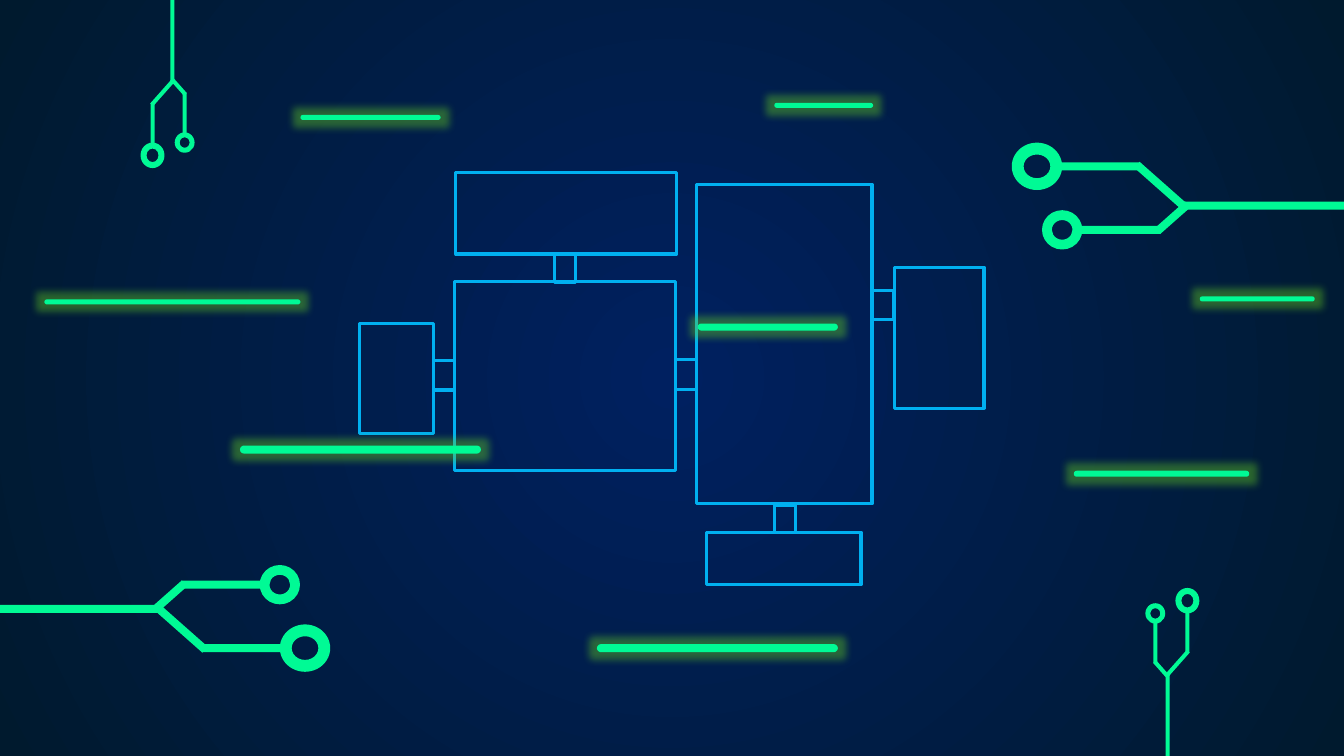
import math

from lxml import etree
from pptx import Presentation, util as u
from pptx.dml.color import RGBColor
from pptx.enum import shapes
from pptx.oxml.ns import qn

# The slide is a grid of square cells
CELL = u.Inches(0.1)
COLS, ROWS = 133.3, 75

CENTRE_BLUE = RGBColor(0x00, 0x20, 0x60)
EDGE_BLUE = RGBColor(0x00, 0x1A, 0x2E)
NEON = RGBColor(0x00, 0xFA, 0x95)
GLOW = RGBColor(0x69, 0xD3, 0x21)
OUTLINE = RGBColor(0x00, 0xB0, 0xF0)

RECT = shapes.MSO_SHAPE.RECTANGLE
DONUT = shapes.MSO_SHAPE.DONUT
BAR = shapes.MSO_SHAPE.ROUNDED_RECTANGLE

# Circuit parts: shape, distance along trunk, offset to its right,
# width, height, turn
CIRCUIT = [
    (RECT, 8, 0, 0.8, 16, 0),
    (RECT, 18.1, 1.9, 0.8, 6.5, 41.5),
    (RECT, 24.5, 3.9, 0.8, 8.6, 0),
    (RECT, 17, -1.2, 0.8, 4, -41.5),
    (RECT, 22.5, -2.4, 0.8, 8.6, 0),
    (DONUT, 30.45, 3.9, 4.7, 5, 0),
    (DONUT, 27.95, -2.4, 3.9, 4, 0),
]
# Trunk foot (column, row), scale, turn
CIRCUITS = [
    (115.8, ROWS, 0.506, 0),
    (17.1, 0, 0.506, 180),
    (COLS, 20.4, 1, 270),
    (-0.2, 60.4, 1, 90),
]

DIAGRAM = (35.7, 17.1)
# Column, row, columns, rows inside the diagram
BLOCKS = [
    (0, 15, 7.3, 10.9),
    (9.4, 10.8, 21.9, 18.8),
    (9.5, 0, 21.9, 8.1),
    (33.4, 1.2, 17.4, 31.7),
    (53, 9.4, 8.9, 14),
    (34.4, 35.7, 15.3, 5.2),
]
LINKS = [
    (7.3, 18.7, 2.1, 2.9),
    (19.3, 8.1, 2.1, 2.8),
    (31.3, 18.6, 2.1, 2.9),
    (50.8, 11.7, 2.1, 2.9),
    (41.1, 33, 2.1, 2.7),
]
BARS = [
    (4.4, 29.7, 25.4, 0.5),
    (59.2, 63.9, 23.9, 0.8),
    (106.5, 46.7, 17.4, 0.6),
    (76.8, 10.2, 9.8, 0.5),
    (119, 29.4, 11.4, 0.5),
    (29.8, 11.4, 13.9, 0.5),
    (23.8, 44.2, 23.9, 0.8),
    (69.2, 32.1, 13.9, 0.7),
]


def add_shape(parent, kind, box, fill=None, line=None, turn=0):
    """Draw a preset shape in a box given in grid cells."""
    sp = parent.add_shape(kind, *(round(n * CELL) for n in box))
    sp.shadow.inherit = False
    sp.rotation = turn % 360
    if fill is None:
        sp.fill.background()
    else:
        sp.fill.solid()
        sp.fill.fore_color.rgb = fill
    if line is None:
        sp.line.fill.background()
    else:
        sp.line.color.rgb = line
        sp.line.width = u.Pt(2.25)
    return sp


def add_background(s):
    """Fill the slide with a gradient running out from its centre."""
    fill = s.background.fill
    fill.gradient()
    for stop, colour in zip(fill.gradient_stops, (CENTRE_BLUE, EDGE_BLUE)):
        stop.color.rgb = colour
    lin = s.element.find(".//" + qn("a:lin"))
    radial = etree.Element(qn("a:path"), path="circle")
    etree.SubElement(radial, qn("a:fillToRect"),
                     l="50000", t="50000", r="50000", b="50000")
    lin.getparent().replace(lin, radial)


def add_circuit(s, col, row, scale, turn):
    """Draw a forked circuit trace growing from its trunk foot."""
    group = s.shapes.add_group_shape().shapes
    sin, cos = math.sin(math.radians(turn)), math.cos(math.radians(turn))
    for kind, along, side, w, h, tilt in CIRCUIT:
        x = col + scale * (side * cos + along * sin)
        y = row + scale * (side * sin - along * cos)
        w, h = w * scale, h * scale
        add_shape(group, kind, (x - w / 2, y - h / 2, w, h),
                  fill=NEON, turn=turn + tilt)


def add_diagram(s, col, row):
    group = s.shapes.add_group_shape().shapes
    for x, y, w, h in BLOCKS + LINKS:
        add_shape(group, RECT, (col + x, row + y, w, h), line=OUTLINE)


def add_glowing_bar(s, box):
    sp = add_shape(s.shapes, BAR, box, fill=NEON)
    sp.adjustments[0] = 0.5
    effects = sp.element.spPr.find(qn("a:effectLst"))
    glow = etree.SubElement(effects, qn("a:glow"), rad=str(u.Pt(11)))
    colour = etree.SubElement(glow, qn("a:srgbClr"), val=str(GLOW))
    etree.SubElement(colour, qn("a:alpha"), val="40000")


def main():
    prs = Presentation()
    prs.slide_width = round(COLS * CELL)
    prs.slide_height = round(ROWS * CELL)
    s = prs.slides.add_slide(prs.slide_layouts[6])
    add_background(s)
    for circuit in CIRCUITS:
        add_circuit(s, *circuit)
    add_diagram(s, *DIAGRAM)
    for box in BARS:
        add_glowing_bar(s, box)
    prs.save("out.pptx")


if __name__ == "__main__":
    main()
